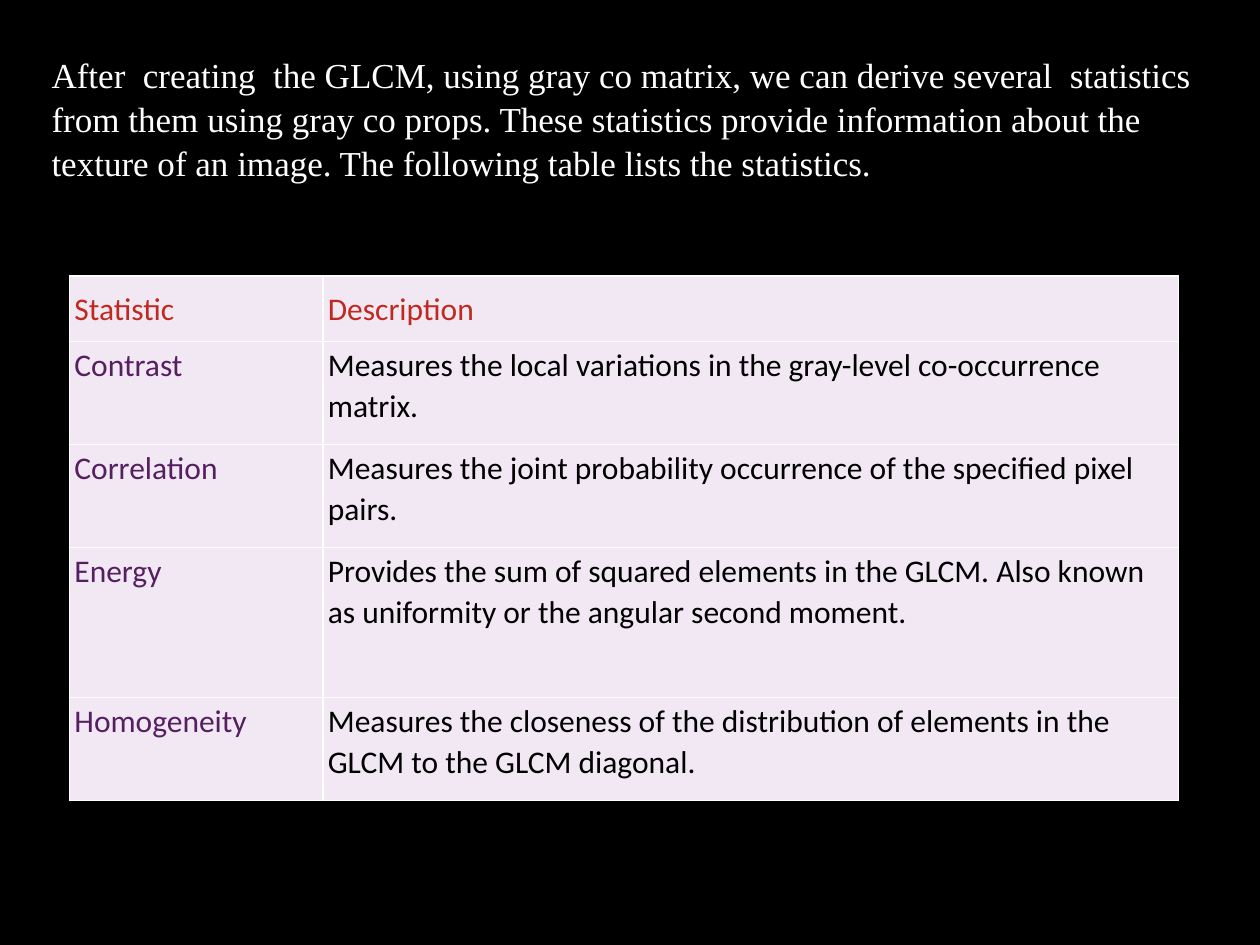
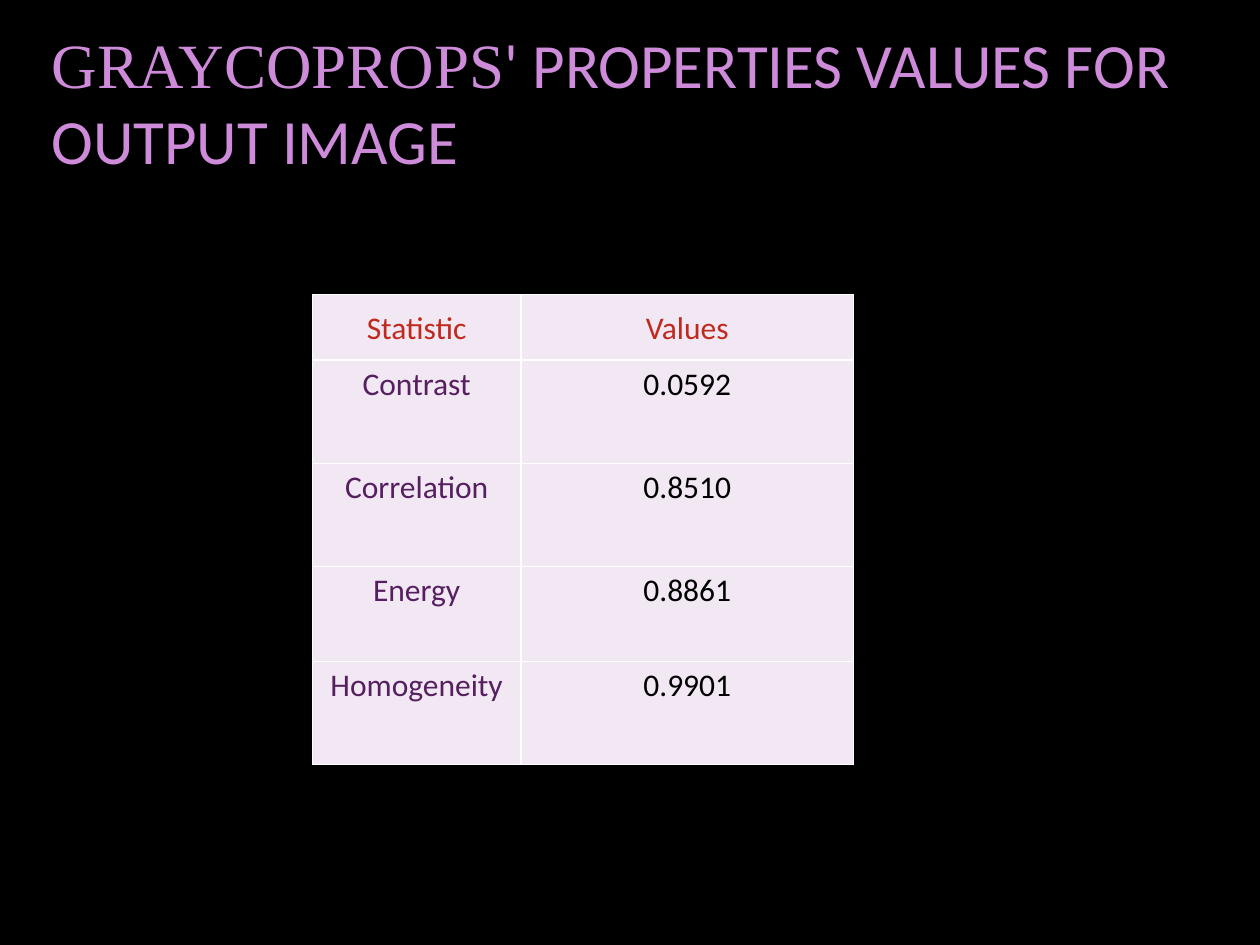
from lxml.etree import SubElement as Sub
from pptx import Presentation
from pptx.dml.color import RGBColor as Rgb
from pptx.enum.text import MSO_ANCHOR as Anchor, PP_ALIGN as Align
from pptx.oxml.ns import qn
from pptx.util import Cm, Pt

HUES = {
    "back": "000000", "white": "FFFFFF", "title": "CD8BDA",
    "cell": "F1E8F4", "head": "C02A1E", "name": "561F60", "body": "000000",
}
SERIF, SANS = "Times New Roman", "Calibri"
LEFT, CENTER = Align.LEFT, Align.CENTER
STATS = ["Contrast", "Correlation", "Energy", "Homogeneity"]


def write(frame, text, size=18, font=SANS, hue="body", align=LEFT,
          line=1.0, after=0):
    """Add a run to the first paragraph of a text frame."""
    para = frame.paragraphs[0]
    para.alignment = align
    para.line_spacing = line
    para.space_after = Pt(after)
    run = para.add_run()
    run.text = text
    run.font.size = Pt(size)
    run.font.name = font
    run.font.color.rgb = Rgb.from_string(HUES[hue])


deck = Presentation()
deck.slide_width, deck.slide_height = Cm(25.4), Cm(19.05)

# Each page: title runs, title spacing, bottom inset, then its table
pages = [
    {
        "title": [(
            "After  creating  the GLCM, using\u00a0gray co matrix, we can derive "
            "several  statistics from them using\u00a0gray co props. These "
            "statistics provide information about the texture of an image. "
            "The following table lists the statistics. ", SERIF)],
        "size": 20, "hue": "white", "line": 1.05, "foot": 0.13,
        "spot": (1.4, 5.56), "cols": [5.11, 17.25], "align": LEFT,
        "rows": [1.32, 2.08, 2.08, 3.02, 2.08],
        "head": "Description",
        "data": [
            "Measures the local variations in the gray-level "
            "co-occurrence matrix.",
            "Measures the joint probability occurrence of the specified "
            "pixel pairs.",
            "Provides the sum of squared elements in the GLCM. Also known as "
            "uniformity or the angular second moment.",
            "Measures the closeness of the distribution of elements in the "
            "GLCM to the GLCM diagonal.",
        ],
    },
    {
        "title": [("GRAYCOPROPS", SERIF),
                  ("' PROPERTIES VALUES FOR OUTPUT IMAGE", SANS)],
        "size": 36, "hue": "title", "line": 1.0, "foot": 0.8,
        "spot": (6.3, 5.94), "cols": [4.2, 6.71], "align": CENTER,
        "rows": [1.32, 2.08, 2.08, 1.91, 2.08],
        "head": "Values",
        "data": ["0.0592", "0.8510", "0.8861", "0.9901"],
    },
]

for page in pages:
    slide = deck.slides.add_slide(deck.slide_layouts[6])
    fill = slide.background.fill
    fill.solid()
    fill.fore_color.rgb = Rgb.from_string(HUES["back"])

    # Title
    box = slide.shapes.add_textbox(Cm(0.79), 0, Cm(24.03), Cm(4.75))
    frame = box.text_frame
    frame.word_wrap = True
    frame.vertical_anchor = Anchor.MIDDLE
    frame.margin_bottom = Cm(page["foot"])
    for text, font in page["title"]:
        write(frame, text, size=page["size"], font=font, hue=page["hue"],
              line=page["line"])

    # Table grid
    cols, rows = page["cols"], page["rows"]
    left, top = page["spot"]
    grid = slide.shapes.add_table(
        len(rows), len(cols), Cm(left), Cm(top),
        Cm(sum(cols)), Cm(sum(rows))).table
    grid.first_row = grid.horz_banding = False
    for col, width in zip(grid.columns, cols):
        col.width = Cm(width)
    for row, height in zip(grid.rows, rows):
        row.height = Cm(height)

    # Cells
    lines = [("Statistic", page["head"]), *zip(STATS, page["data"])]
    for r, line in enumerate(lines):
        for c, text in enumerate(line):
            cell = grid.cell(r, c)
            cell.margin_left = cell.margin_right = Cm(0.1)
            cell.margin_top = cell.margin_bottom = Cm(0.05 if r else 0.13)
            cell.vertical_anchor = Anchor.TOP if r else Anchor.MIDDLE
            hue = ("name", "body")[c] if r else "head"
            write(cell.text_frame, text, hue=hue, align=page["align"],
                  line=1.07, after=8)
            # Borders come before the fill in the cell's XML
            props = cell._tc.get_or_add_tcPr()
            for side in ("lnL", "lnR", "lnT", "lnB"):
                edge = Sub(props, qn("a:" + side), w=str(Pt(1)))
                paint = Sub(edge, qn("a:solidFill"))
                Sub(paint, qn("a:srgbClr"), val=HUES["white"])
            cell.fill.solid()
            cell.fill.fore_color.rgb = Rgb.from_string(HUES["cell"])

deck.save("out.pptx")
